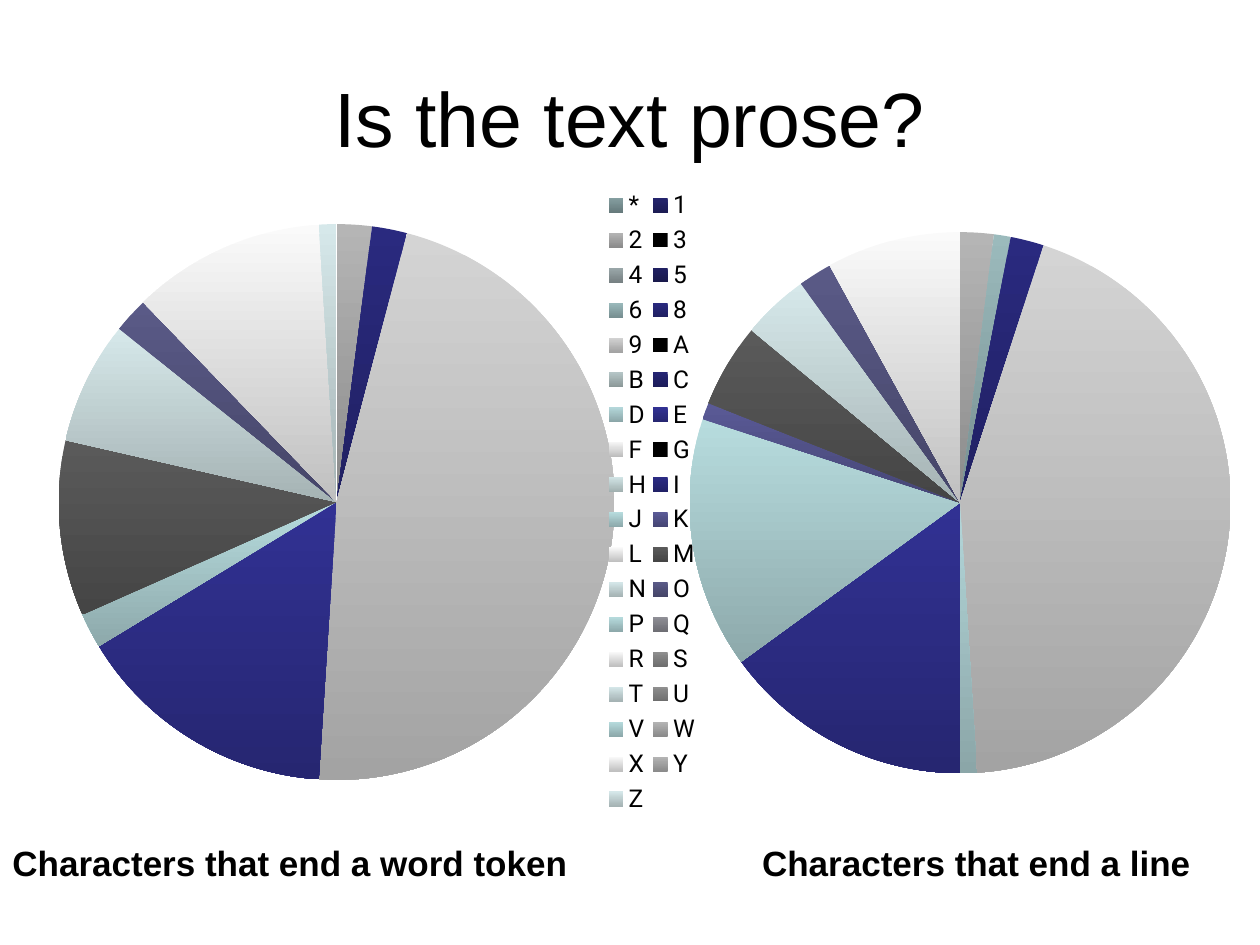
from lxml import etree
from pptx import Presentation
from pptx.chart.data import CategoryChartData
from pptx.dml.color import RGBColor
from pptx.enum.chart import XL_CHART_TYPE, XL_LEGEND_POSITION
from pptx.enum.text import MSO_ANCHOR, MSO_AUTO_SIZE, PP_ALIGN
from pptx.oxml.ns import qn
from pptx.util import Pt

PIE = XL_CHART_TYPE.PIE
LEGEND_RIGHT = XL_LEGEND_POSITION.RIGHT
MIDDLE = MSO_ANCHOR.MIDDLE
FIT_SHAPE = MSO_AUTO_SIZE.SHAPE_TO_FIT_TEXT
NO_FIT = MSO_AUTO_SIZE.NONE
CENTER = PP_ALIGN.CENTER

BLACK = RGBColor(0x00, 0x00, 0x00)
ACCENTS = [
    RGBColor(0xBB, 0xE0, 0xE3),
    RGBColor(0x33, 0x33, 0x99),
    RGBColor(0xFF, 0xFF, 0xFF),
    BLACK,
    RGBColor(0xDA, 0xED, 0xEF),
    RGBColor(0x2D, 0x2D, 0x8A),
]
# Each pass through the accents has its own brightness and darkest channel.
PASS_SCALES = [0.71, 0.83, 0.96, 0.98, 0.98, 0.98]
PASS_FLOORS = [0, 0, 0, 90, 143, 181]
FOOT_SCALE = 0.77

CHARACTERS = list("*12345689ABCDEFGHIJKLMNOPQRSTUVWXYZ")
POSITIONS = [str(number + 1) for number in range(len(CHARACTERS))]
WORD_ENDS = {"2": 2, "8": 2, "9": 46, "E": 15, "J": 2, "M": 10,
             "N": 7, "O": 2, "R": 11, "T": 1}
LINE_ENDS = {"2": 2, "6": 1, "8": 2, "9": 44, "D": 1, "E": 15, "J": 15,
             "K": 1, "M": 5, "N": 4, "O": 2, "R": 8}


def style(font, name, size, bold=False):
    font.name = name
    font.size = Pt(size)
    font.bold = bold
    font.color.rgb = BLACK


def slice_colors(index):
    """Return the top and bottom colours of a slice's gradient."""
    turn, accent = divmod(index, len(ACCENTS))
    top = [max(round(channel * PASS_SCALES[turn]), PASS_FLOORS[turn])
           for channel in ACCENTS[accent]]
    bottom = [round(channel * FOOT_SCALE) for channel in top]
    return RGBColor(*top), RGBColor(*bottom)


def set_layout(parent, index, area, inner=False):
    """Fix a chart part at area, given as fractions of the chart."""
    for old in parent.findall(qn("c:layout")):
        parent.remove(old)
    layout = etree.Element(qn("c:layout"))
    manual = etree.SubElement(layout, qn("c:manualLayout"))
    settings = [("layoutTarget", "inner")] if inner else []
    settings += [("xMode", "edge"), ("yMode", "edge")]
    settings += zip("xywh", area)
    for tag, value in settings:
        etree.SubElement(manual, qn("c:" + tag)).set("val", str(value))
    parent.insert(index, layout)


def add_title(page, box, text):
    title = page.shapes.title
    title.left, title.top, title.width, title.height = map(Pt, box)
    frame = title.text_frame
    frame.auto_size = NO_FIT
    frame.vertical_anchor = MIDDLE
    para = frame.paragraphs[0]
    para.alignment = CENTER
    span = para.add_run()
    span.text = text
    style(span.font, "Arial", 44)


def add_pie(page, box, categories, shares, plot_area):
    data = CategoryChartData()
    data.categories = categories
    data.add_series("Series 1", [shares.get(name, 0) for name in CHARACTERS])
    chart = page.shapes.add_chart(PIE, *map(Pt, box), data).chart
    chart.has_title = False
    chart.has_legend = False
    style(chart.font, "Arial", 18)
    plot = chart.plots[0]
    plot.vary_by_categories = True
    for index in range(len(CHARACTERS)):
        look = plot.series[0].points[index].format
        look.line.fill.background()
        look.fill.gradient()
        look.fill.gradient_angle = 270
        for stop, color in zip(look.fill.gradient_stops, slice_colors(index)):
            stop.color.rgb = color
    plot_element = chart.element.find(".//" + qn("c:plotArea"))
    set_layout(plot_element, 0, plot_area, inner=True)
    return chart


def add_legend(chart, area):
    chart.has_legend = True
    legend = chart.legend
    legend.position = LEGEND_RIGHT
    legend.include_in_layout = False
    style(legend.font, "Roboto", 14)
    set_layout(chart.element.find(".//" + qn("c:legend")), 1, area)


def add_caption(page, box, text):
    caption = page.shapes.add_textbox(*map(Pt, box))
    frame = caption.text_frame
    frame.word_wrap = False
    frame.auto_size = FIT_SHAPE
    span = frame.paragraphs[0].add_run()
    span.text = text
    style(span.font, "Arial", 20, bold=True)


def main():
    deck = Presentation()
    deck.slide_width, deck.slide_height = Pt(720), Pt(540)
    page = deck.slides.add_slide(deck.slide_layouts[5])
    add_title(page, (36, 21.6, 648, 90), "Is the text prose?")
    word_chart = add_pie(page, (21.6, 102.24, 379.44, 369.36), CHARACTERS,
                         WORD_ENDS, (0.03, 0.07, 0.84, 0.86))
    add_legend(word_chart, (0.85, 0.01, 0.15, 0.98))
    add_caption(page, (0, 477.36, 334.08, 31.68),
                "Characters that end a word token")
    add_pie(page, (383.76, 111.6, 329.76, 351.36), POSITIONS,
            LINE_ENDS, (0.03, 0.06, 0.94, 0.88))
    add_caption(page, (428.4, 477.36, 261.36, 31.68),
                "Characters that end a line")
    deck.save("out.pptx")


if __name__ == "__main__":
    main()
